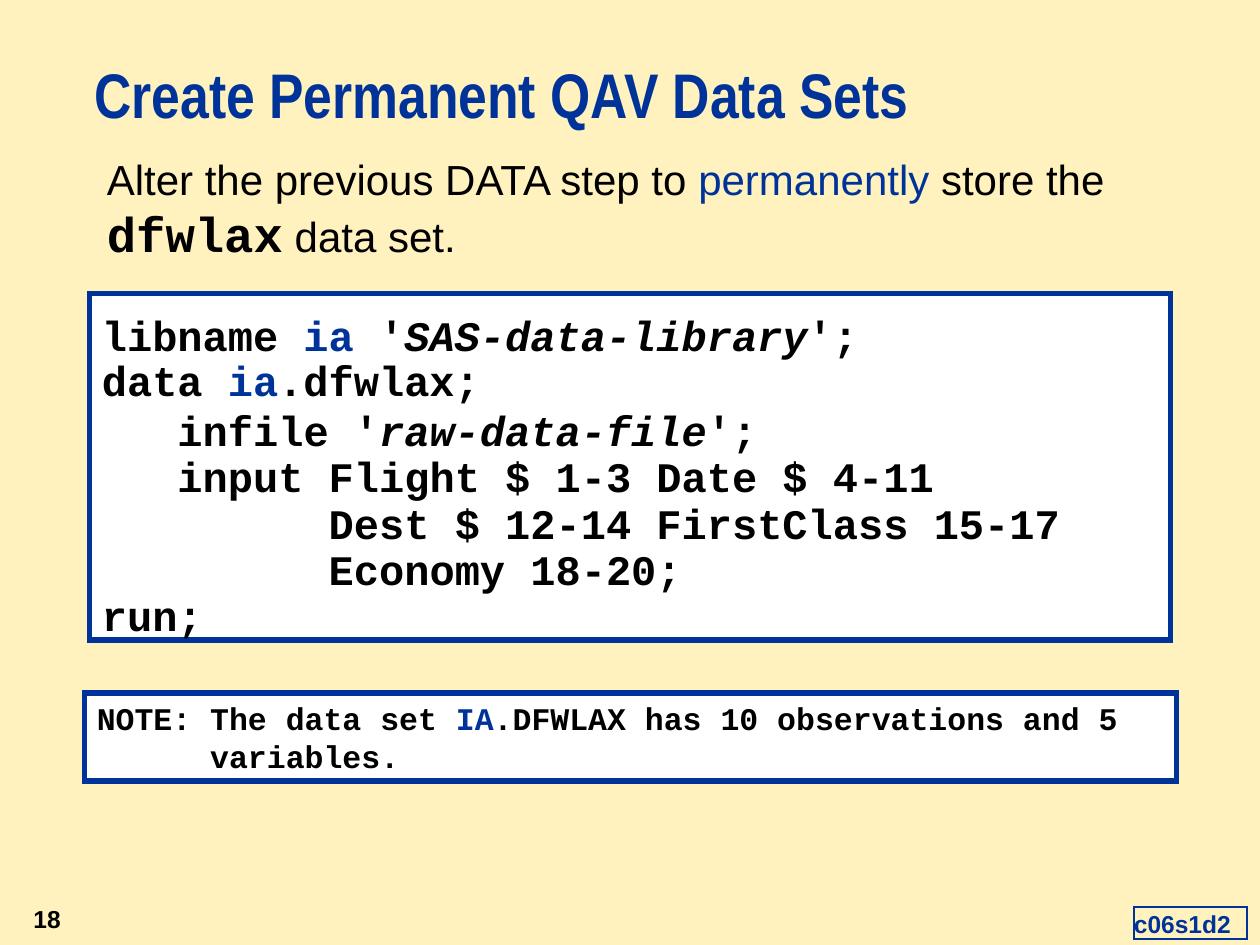
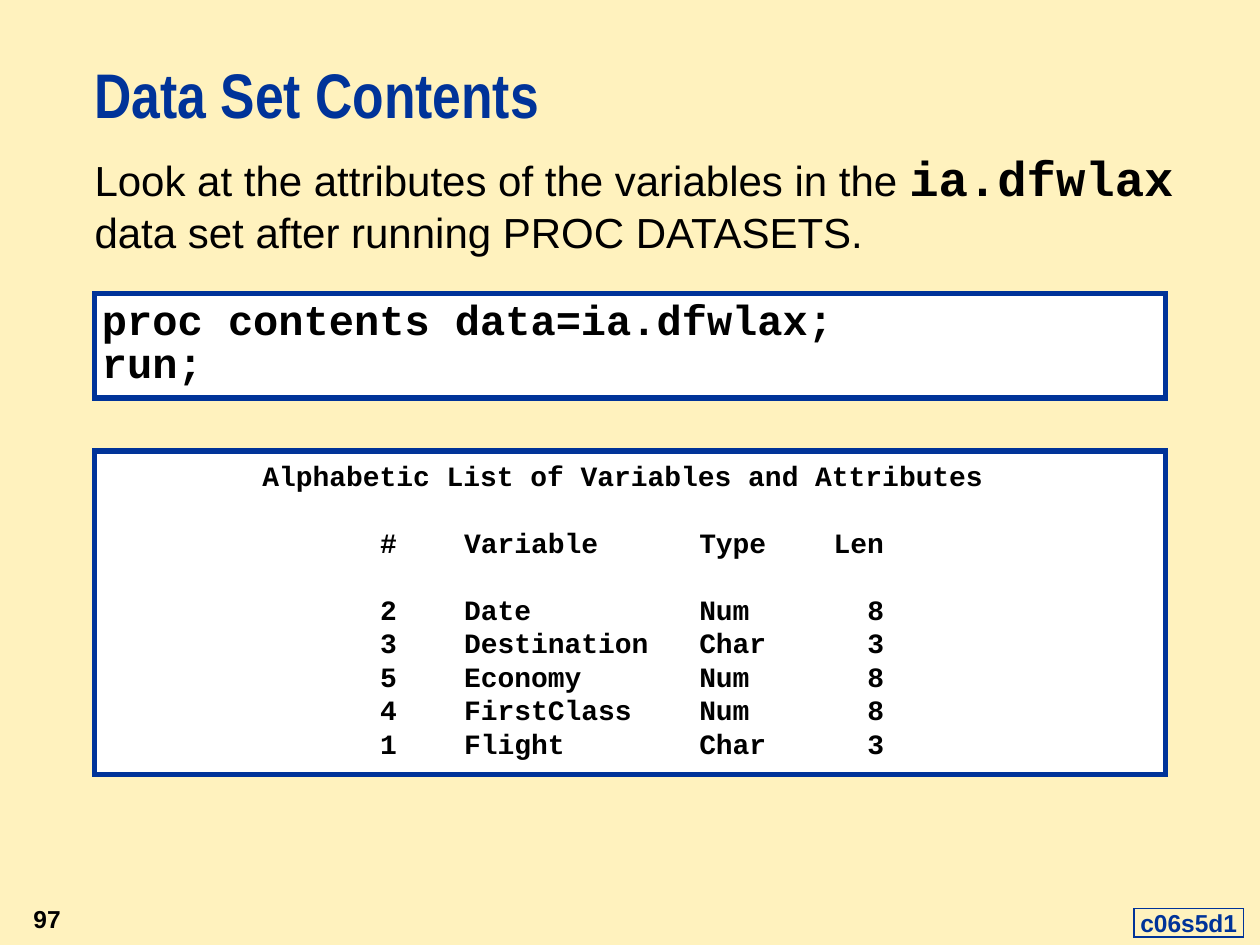
from lxml import etree
from pptx import Presentation
from pptx import util as u
from pptx.dml.color import RGBColor
from pptx.enum import shapes, text
from pptx.oxml.ns import qn

PAPER, BLUE, BLACK, WHITE = "FFF2BE", "003399", "000000", "FFFFFF"

# Run styles: size, font, colour, bold, italic
STYLES = {
    "title": (36, "Arial Narrow", BLUE, True, False),
    "body": (24, "Arial", BLACK, False, False),
    "key": (24, "Arial", BLUE, False, False),
    "name": (28, "Courier New", BLACK, True, False),
    "code": (24, "Courier New", BLACK, True, False),
    "lib": (24, "Courier New", BLUE, True, False),
    "slot": (24, "Courier New", BLACK, True, True),
    "log": (18, "Courier New", BLACK, True, False),
    "loglib": (18, "Courier New", BLUE, True, False),
    "list": (16, "Courier New", BLACK, True, False),
    "page": (14, "Arial", BLACK, True, False),
    "tag": (14, "Arial", BLUE, True, False),
}

# A paragraph is a list of (text, style) runs
STEP_TOP = [
    [("libname ", "code"), ("ia", "lib"), (" '", "code"),
     ("SAS-data-library", "slot"), ("';", "code")],
    [("data ", "code"), ("ia", "lib"), (".dfwlax;", "code")],
]
STEP_REST = [
    [("   infile '", "code"), ("raw-data-file", "slot"), ("';", "code")],
    [("   input Flight $ 1-3 Date $ 4-11", "code")],
    [("         Dest $ 12-14 FirstClass 15-17", "code")],
    [("         Economy 18-20;", "code")],
    [("run;", "code")],
]
NOTE = [
    [("NOTE: The data set ", "log"), ("IA", "loglib"),
     (".DFWLAX has 10 observations and 5", "log")],
    [("      variables.", "log")],
]
PROC = ["proc contents data=ia.dfwlax;", "run;"]
HEAD = "Alphabetic List of Variables and Attributes"
ROWS = [
    ("#", "Variable", "Type", "Len"),
    ("2", "Date", "Num", "8"),
    ("3", "Destination", "Char", "3"),
    ("5", "Economy", "Num", "8"),
    ("4", "FirstClass", "Num", "8"),
    ("1", "Flight", "Char", "3"),
]
CHAR = 0.6 * 16 / 72  # width in inches of one listing character
STOPS = [(17, "l"), (22, "l"), (36, "l"), (47, "r")]
HEAD_COL = 10

INTRO_1 = [("Alter the previous DATA step to ", "body"), ("permanently", "key"),
           (" store the ", "body"), ("dfwlax", "name"), (" data set.", "body")]
INTRO_2 = [("Look at the attributes of the variables in the ", "body"),
           ("ia.dfwlax", "name"),
           (" data set after running PROC DATASETS.", "body")]


def color(code):
    return RGBColor.from_string(code)


def put(obj, values):
    for key, value in values.items():
        setattr(obj, key, value)


def write(shape, paras, pad=(0, 0), anchor="TOP"):
    """Fill a shape with (runs, paragraph format) pairs; pad is across, down."""
    frame = shape.text_frame
    side, end = map(u.Inches, pad)
    put(frame, {"word_wrap": True, "margin_left": side, "margin_right": side,
                "margin_top": end, "margin_bottom": end,
                "vertical_anchor": getattr(text.MSO_ANCHOR, anchor)})
    for i, (runs, form) in enumerate(paras):
        para = frame.paragraphs[0] if i == 0 else frame.add_paragraph()
        put(para, {"alignment": text.PP_ALIGN.LEFT, **form})
        for words, style in runs:
            size, face, ink, bold, slant = STYLES[style]
            run = para.add_run()
            run.text = words
            put(run.font, {"size": u.Pt(size), "name": face,
                           "bold": bold, "italic": slant})
            run.font.color.rgb = color(ink)
    return frame


def label(slide, at, paras, **opts):
    return write(slide.shapes.add_textbox(*map(u.Inches, at)), paras, **opts)


def box(slide, at, paras, width=3, fill=WHITE, **opts):
    shape = slide.shapes.add_shape(shapes.MSO_SHAPE.RECTANGLE, *map(u.Inches, at))
    shape.shadow.inherit = False
    if fill:
        shape.fill.solid()
        shape.fill.fore_color.rgb = color(fill)
    else:
        shape.fill.background()
    shape.line.color.rgb = color(BLUE)
    shape.line.width = u.Pt(width)
    edge = shape.element.spPr.find(qn("a:ln"))
    etree.SubElement(edge, qn("a:miter"), lim="800000")
    return write(shape, paras, **opts)


def plain(lines, **form):
    return [(runs, form) for runs in lines]


def base(deck, title, page, tag, tag_at, tag_pad):
    """Add a slide with its title, page number and program tag."""
    slide = deck.slides.add_slide(deck.slide_layouts[6])
    slide.background.fill.solid()
    slide.background.fill.fore_color.rgb = color(PAPER)
    label(slide, (0, 7.08, 0.58, 0.42),
          plain([[(page, "page")]], alignment=text.PP_ALIGN.RIGHT),
          pad=(0.1, 0.05), anchor="MIDDLE")
    label(slide, (0.75, 0.5, 8.58, 0.75),
          plain([[(title, "title")]], line_spacing=u.Pt(39)))
    box(slide, tag_at, plain([[(tag, "tag")]]), width=1, fill=None,
        pad=(tag_pad, 0), anchor="BOTTOM")
    return slide


def step(deck):
    slide = base(deck, "Create Permanent QAV Data Sets", "18", "c06s1d2",
                 (9, 7.2, 0.9, 0.25), 0)
    label(slide, (0.75, 1.17, 8.17, 0.97), plain([INTRO_1]), pad=(0.1, 0.05))
    box(slide, (0.67, 5.5, 8.67, 0.7), plain(NOTE), pad=(0.1, 0.05))
    lines = plain(STEP_TOP, line_spacing=0.9)
    lines += plain(STEP_REST, line_spacing=0.5, space_before=u.Pt(12))
    box(slide, (0.71, 2.33, 8.58, 2.75), lines, pad=(0.1, 0.17))


def contents(deck):
    slide = base(deck, "Data Set Contents", "97", "c06s5d1",
                 (9, 7.21, 0.87, 0.23), 0.05)
    label(slide, (0.75, 1.17, 8.58, 0.97), plain([INTRO_2]))
    box(slide, (0.75, 2.33, 8.5, 0.83),
        plain([[(line, "code")] for line in PROC], line_spacing=0.85),
        pad=(0.06, 0.06))
    lines = plain([[(HEAD, "list")]])
    for i, row in enumerate(ROWS):
        gap = 19 if i < 2 else 0
        lines.append(([("\t" + "\t".join(row), "list")],
                      {"space_before": u.Pt(gap)}))
    frame = box(slide, (0.75, 3.58, 8.5, 2.57), lines, pad=(0, 0.06))
    first, *rest = frame.paragraphs
    first._p.get_or_add_pPr().set("marL", str(u.Inches(HEAD_COL * CHAR)))
    for para in rest:
        tabs = etree.SubElement(para._p.get_or_add_pPr(), qn("a:tabLst"))
        for col, side in STOPS:
            etree.SubElement(tabs, qn("a:tab"), algn=side,
                             pos=str(u.Inches(col * CHAR)))


def main():
    deck = Presentation()
    put(deck, {"slide_width": u.Inches(10), "slide_height": u.Inches(7.5)})
    step(deck)
    contents(deck)
    deck.save("out.pptx")


if __name__ == "__main__":
    main()
